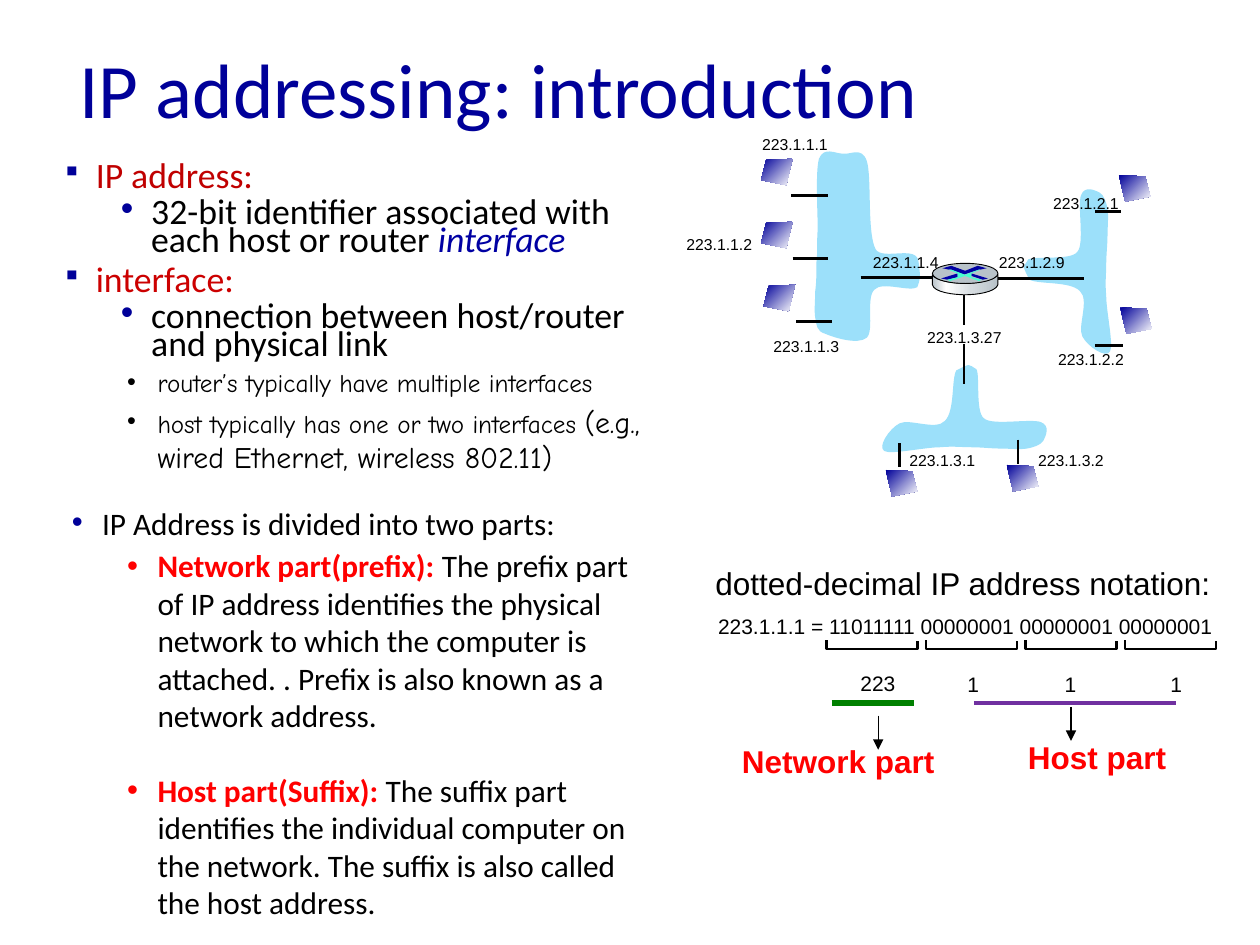
from lxml import etree
from pptx import Presentation
from pptx import util as u
from pptx.dml import color
from pptx.enum import shapes, text
from pptx.oxml import ns

PX = 9144  # 100 px to the inch
BLACK, NAVY, RED, SKY, WHITE = "000000", "000099", "FF0000", "9CE0FA", "FFFFFF"
HOST_FILL = [(0, NAVY), (100, WHITE)]
DRUM_FILL = [(0, "B8C2C9"), (21, WHITE), (60, "D6DCE0"), (100, "B8C2C9")]

# Outlines: two numbers are a corner, six are a Bezier curve.
WEST_CLOUD = [
    (83, 92), (82, 78, 55, 91, 49, 82), (42, 69, 46, 25, 42, 12), (38, 0, 29, 7, 23, 6),
    (17, 6, 8, 0, 4, 10), (1, 20, 3, 53, 3, 66), (2, 80, 3, 83, 2, 92),
    (2, 100, 2, 108, 1, 115), (1, 122, 0, 131, 1, 136), (2, 142, 2, 147, 9, 149),
    (16, 152, 35, 158, 42, 152), (48, 146, 41, 120, 48, 114),
    (54, 107, 76, 116, 82, 112), (84, 106, 85, 106, 83, 92)]
EAST_CLOUD = [
    (4, 72), (11, 76, 36, 73, 44, 81), (52, 88, 42, 109, 46, 117),
    (50, 125, 65, 135, 68, 129), (71, 124, 65, 97, 65, 85), (64, 74, 65, 68, 65, 60),
    (65, 52, 66, 44, 66, 37), (66, 30, 67, 21, 66, 16), (65, 10, 63, 5, 60, 3),
    (56, 1, 48, -3, 45, 5), (42, 13, 48, 44, 42, 50), (37, 57, 8, 53, 3, 56),
    (-1, 63, -2, 60, 4, 72)]
DRUM = [(52, 9), (52, 17), (50, 23, 35, 25, 26, 25), (17, 25, 1, 23, 0, 17),
        (0, 15, 0, 11, 0, 9), (2, 14, 17, 16, 26, 16), (34, 16, 49, 14, 52, 9)]
ROUTER_MARKS = [
    ("0000A3", [(36, 2), (43, 4), (38, 5), (37, 5), (25, 9), (15, 5), (13, 5), (8, 4),
                (15, 2), (26, 6)]),
    ("0000A3", [(31, 8), (44, 12), (40, 13), (31, 10)]),
    ("0000A8", [(20, 8), (20, 11), (12, 13), (7, 12)]),
    ("47FFD1", [(13, 5), (15, 5), (26, 9), (37, 5), (38, 5), (31, 8), (31, 11), (39, 13),
                (37, 14), (26, 10), (14, 14), (12, 13), (20, 11), (20, 8)])]
HOST = [(0, 0), (21, 1), (25, 17), (5, 21)]


def rgb(value):
    return color.RGBColor.from_string(value)


def px(*lengths):
    return [u.Emu(n * PX) for n in lengths]


def pairs(part):
    return list(zip(part[::2], part[1::2]))


def quarter_turn(outline, height):
    return [tuple(n for a, b in pairs(part) for n in (height - b, a)) for part in outline]


def paint(sp, fill=None, line=None, width=0.5):
    """Set fill (hex, list of gradient stops or None) and outline."""
    sp.shadow.inherit = False
    if fill is None:
        sp.fill.background()
    elif isinstance(fill, str):
        sp.fill.solid()
        sp.fill.fore_color.rgb = rgb(fill)
    else:
        sp.fill.gradient()
        sp.fill.gradient_angle = 315 if fill is HOST_FILL else 0
        stops = sp._element.spPr.find(".//" + ns.qn("a:gsLst"))
        for old in list(stops):
            stops.remove(old)
        for pos, value in fill:
            gs = etree.SubElement(stops, ns.qn("a:gs"), pos=str(pos * 1000))
            etree.SubElement(gs, ns.qn("a:srgbClr"), val=value)
    if line:
        sp.line.color.rgb = rgb(line)
        sp.line.width = u.Pt(width)
    else:
        sp.line.fill.background()


def add_outline(s, x, y, outline, close=True, **look):
    """Build the outline from its corners, then bend the steps that are curves."""
    corners = [((x + part[-2]) * PX, (y + part[-1]) * PX) for part in outline]
    builder = s.shapes.build_freeform(*corners[0], scale=1.0)
    builder.add_line_segments(corners[1:], close=close)
    sp = builder.convert_to_shape()
    steps = list(sp._element.spPr.iter(ns.qn("a:lnTo")))
    for step, part in zip(steps, outline[1:]):
        if len(part) == 6:
            curve = etree.Element(ns.qn("a:cubicBezTo"))
            for a, b in pairs(part):
                etree.SubElement(curve, ns.qn("a:pt"), x=str((x + a) * PX - sp.left),
                                 y=str((y + b) * PX - sp.top))
            step.getparent().replace(step, curve)
    paint(sp, **look)


def add_line(s, x1, y1, x2, y2, value=BLACK, width=1.5, arrow=False):
    c = s.shapes.add_connector(shapes.MSO_CONNECTOR.STRAIGHT, *px(x1, y1, x2, y2))
    c.line.color.rgb = rgb(value)
    c.line.width = u.Pt(width)
    if arrow:
        etree.SubElement(c.line._get_or_add_ln(), ns.qn("a:tailEnd"), type="triangle")
    etree.SubElement(c._element.spPr, ns.qn("a:effectLst"))


def add_run(p, words, size, value=BLACK, font="Calibri", bold=False, italic=False):
    r = p.add_run()
    r.text = words
    f = r.font
    f.size, f.name, f.bold, f.italic = u.Pt(size), font, bold, italic
    f.color.rgb = rgb(value)


def add_label(s, x, y, w, h, words, size=9, **style):
    tf = s.shapes.add_textbox(*px(x, y, w, h)).text_frame
    tf.word_wrap = False
    tf.auto_size = text.MSO_AUTO_SIZE.SHAPE_TO_FIT_TEXT
    add_run(tf.paragraphs[0], words, size, font="Arial", **style)


def place(sp, box):
    sp.left, sp.top, sp.width, sp.height = px(*box)
    sp.text_frame.auto_size = text.MSO_AUTO_SIZE.NONE
    return sp.text_frame


def fill_title(s, box):
    tf = place(s.shapes.title, box)
    tf.vertical_anchor = text.MSO_ANCHOR.MIDDLE
    p = tf.paragraphs[0]
    p.alignment = text.PP_ALIGN.LEFT
    add_run(p, "IP addressing: introduction", 44, NAVY)


def add_bullet(p, level, margin, spacing, before, mark, mark_color):
    p.level = level
    p.alignment = text.PP_ALIGN.LEFT
    p.line_spacing = spacing
    p.space_before = u.Pt(before)
    pPr = p._p.get_or_add_pPr()
    pPr.set("marL", str(margin * PX))
    pPr.set("indent", str(-24 * PX))
    if mark_color:
        clr = etree.SubElement(pPr, ns.qn("a:buClr"))
        etree.SubElement(clr, ns.qn("a:srgbClr"), val=mark_color)
    etree.SubElement(pPr, ns.qn("a:buFont"), typeface="Arial")
    etree.SubElement(pPr, ns.qn("a:buChar"), char=mark)


def fill_body(s, box):
    head, point = (0, 37, 0.65), (1, 81, 0.65)
    part, detail = (1, 42, 0.65), (2, 86, 1.0)
    comic = {"font": "Comic Neue"}
    strong = {"value": RED, "bold": True}
    items = [
        (head, 0, "▪", NAVY, [("IP address:", 20.4, {"value": "C00000"}), (" ", 23.8, {})]),
        (point, 4, "•", NAVY, [
            ("32-bit identifier associated with each host or router ", 20.4, {}),
            ("interface", 20.4, {"value": "0000A3", "italic": True})]),
        (head, 5, "▪", NAVY, [("interface:", 20.4, {"value": "CC0000"}), (" ", 23.8, {})]),
        (point, 4, "•", NAVY, [
            ("connection between host/router and physical link", 20.4, {})]),
        (detail, 3, "•", None, [
            ("router’s typically have multiple interfaces", 14.4, comic)]),
        (detail, 3.5, "•", None, [
            ("host typically has one or two interfaces ", 14.4, comic),
            ("(e.g., wired Ethernet, wireless 802.11)", 17, comic)]),
        (part, 23.5, "•", NAVY, [("IP Address is divided into two parts:", 17.9, {})]),
        (detail, 3.5, "•", RED, [
            ("Network part(prefix): ", 17.9, strong),
            ("The prefix part of IP address identifies the physical network to which the "
             "computer is attached. . Prefix is also known as a network address.", 17.9, {})]),
        (detail, 21, "•", RED, [
            ("Host part(Suffix): ", 17.9, strong),
            ("The suffix part identifies the individual computer on the network. "
             "The suffix is also called the host address.", 17.9, {})])]
    tf = place(s.placeholders[1], box)
    for i, (layout, before, mark, mark_color, runs) in enumerate(items):
        p = tf.add_paragraph() if i else tf.paragraphs[0]
        add_bullet(p, *layout, before, mark, mark_color)
        for words, size, style in runs:
            add_run(p, words, size, **style)


def add_router(s, x, y):
    add_outline(s, x, y, DRUM, fill=DRUM_FILL, line=BLACK)
    lid = s.shapes.add_shape(shapes.MSO_SHAPE.OVAL, *px(x, y, 52, 16))
    paint(lid, "B8C2C9", BLACK)
    for value, outline in ROUTER_MARKS:
        add_outline(s, x, y, outline, fill=value)


def add_network(s, x, y):
    for dx, dy, cloud in [(165, 188, quarter_turn(EAST_CLOUD, 131)),
                          (278, 48, EAST_CLOUD), (111, 14, WEST_CLOUD)]:
        add_outline(s, x + dx, y + dy, cloud, fill=SKY)
    for x1, y1, x2, y2 in [
            (230, 131, 230, 203), (93, 53, 122, 53), (94, 103, 122, 103),
            (97, 153, 125, 153), (148, 118, 213, 118), (245, 119, 325, 119),
            (334, 66, 355, 66), (334, 172, 356, 172), (179, 250, 179, 269),
            (273, 247, 273, 266)]:
        add_line(s, x + x1, y + y1, x + x2, y + y2)
    for dx, dy, w in [(7, 85, 68), (196, 156, 70)]:
        plate = s.shapes.add_shape(shapes.MSO_SHAPE.RECTANGLE, *px(x + dx, y + dy, w, 15))
        paint(plate, WHITE)
    mirrored = [(26 - a, b) for a, b in HOST]
    for outline, places in [(mirrored, [(68, 24), (68, 74), (70, 124)]),
                            (HOST, [(353, 37), (354, 142), (264, 267), (168, 271)])]:
        for dx, dy in places:
            add_outline(s, x + dx, y + dy, outline, fill=HOST_FILL)
    add_router(s, x + 205, y + 107)
    for dx, dy, end in [(60, 0, "1.1"), (0, 79, "1.2"), (69, 160, "1.3"), (148, 94, "1.4"),
                        (248, 94, "2.9"), (295, 171, "2.2"), (291, 47, "2.1"),
                        (279, 251, "3.2"), (177, 251, "3.1"), (191, 153, "3.27")]:
        add_label(s, x + dx, y + dy, 80 if end == "3.27" else 73, 25, "223.1." + end)


def add_notation(s, x, y):
    add_label(s, x, y, 417, 40, "dotted-decimal IP address notation:", 18)
    add_label(s, x + 2, y + 39, 421, 30,
              "223.1.1.1 = 11011111 00000001 00000001 00000001", 12)
    for i in range(4):
        add_outline(s, x + 98 + 79 * i, y + 65, [(0, 0), (0, 7), (72, 7), (72, 1)],
                    close=False, line=BLACK, width=1.5)
    for dx, dy, w, number in [(115, 84, 48, "223"), (200, 85, 29, "1"),
                              (277, 85, 29, "1"), (361, 85, 29, "1")]:
        add_label(s, x + dx, y + dy, w, 30, number, 12)
    for left, right, value, width in [(102, 167, "008000", 3), (215, 375, "7030A0", 2.25)]:
        add_line(s, x + left, y + 115, x + right, y + 115, value, width)
    for dx, dy, w, words, ax, ay in [(21, 141, 174, "Network part", 139, 125),
                                     (248, 138, 131, "Host part", 292, 118)]:
        add_label(s, x + dx, y + dy, w, 40, words, 18, value=RED, bold=True)
        add_line(s, x + ax, y + ay, x + ax, y + ay + 27, width=0.75, arrow=True)


def main():
    prs = Presentation()
    prs.slide_width, prs.slide_height = px(1000, 750)
    s = prs.slides.add_slide(prs.slide_layouts[1])
    fill_body(s, (29, 124, 504, 606))
    fill_title(s, (53, 33, 862, 73))
    add_network(s, 535, 102)
    add_notation(s, 558, 443)
    prs.save("out.pptx")


if __name__ == "__main__":
    main()
